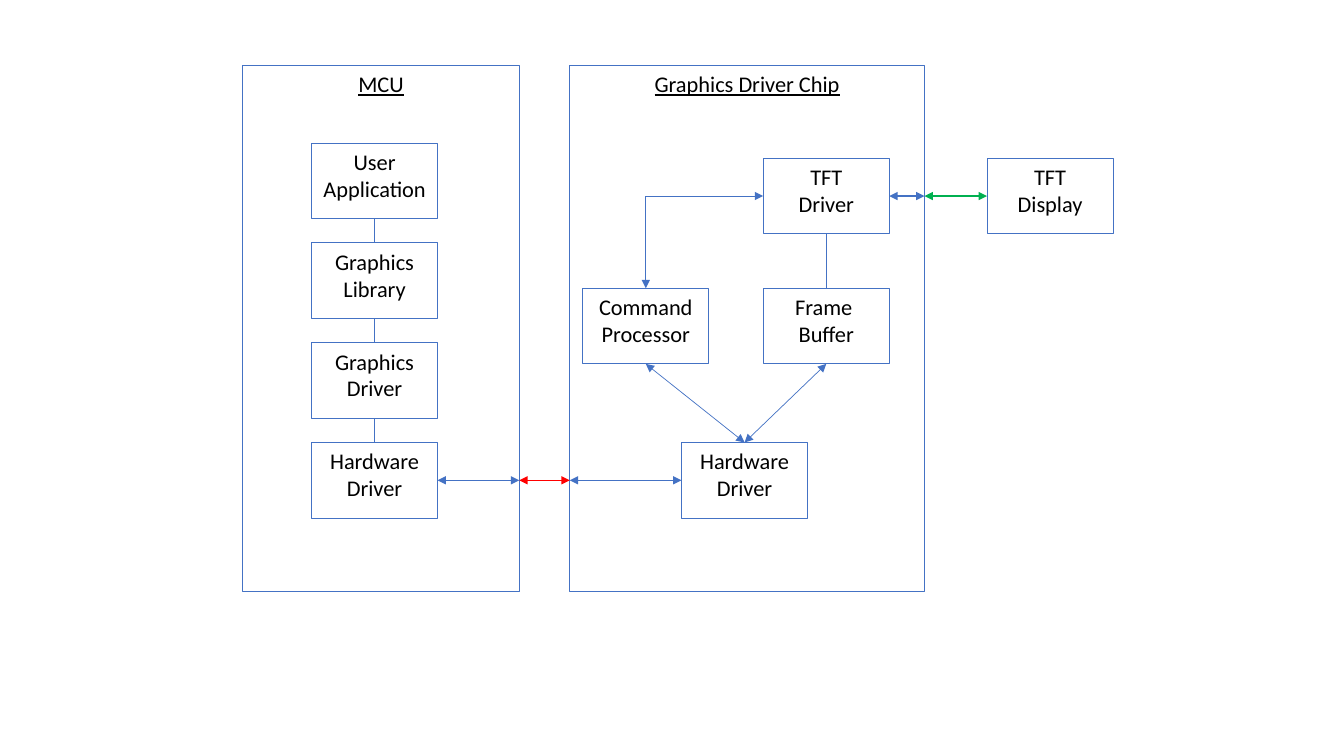
"""Build the block diagram of a host, a graphics driver chip and a TFT display."""
from dataclasses import dataclass

from lxml import etree
from pptx import Presentation
from pptx.dml.color import RGBColor
from pptx.enum.shapes import MSO_CONNECTOR, MSO_SHAPE
from pptx.enum.text import MSO_ANCHOR, PP_ALIGN
from pptx.oxml.ns import qn
from pptx.util import Inches, Pt

RECTANGLE = MSO_SHAPE.RECTANGLE
STRAIGHT, ELBOW = MSO_CONNECTOR.STRAIGHT, MSO_CONNECTOR.ELBOW
TOP, CENTER = MSO_ANCHOR.TOP, PP_ALIGN.CENTER


@dataclass(frozen=True)
class Theme:
    font: str = "Calibri"
    text_size: float = 16
    text: str = "000000"
    blue: str = "4472C4"
    red: str = "FF0000"
    green: str = "00B050"
    outline: float = 0.75
    thin: float = 0.5
    thick: float = 1


THEME = Theme()
BOX_WIDTH, BOX_HEIGHT = 1.25, 0.75
FRAME_TOP, FRAME_HEIGHT = 0.65, 5.22
STACK_LEFT, STACK_TOP, STACK_STEP = 3.09, 1.42, 0.99
DISPLAY_TOP, MIDDLE_TOP = 1.57, 2.86
HARDWARE_TOP = STACK_TOP + 3 * STACK_STEP
BUFFER_LEFT = 7.57

FRAMES = {
    "host": ("MCU", 2.41, 2.74),
    "chip": ("Graphics Driver Chip", 5.65, 3.52),
}
HOST_STACK = {
    "application": ("User", "Application"),
    "library": ("Graphics", "Library"),
    "graphics driver": ("Graphics", "Driver"),
    "host hardware": ("Hardware", "Driver"),
}
BLOCKS = {
    "chip hardware": (("Hardware", "Driver"), 6.76, HARDWARE_TOP),
    "frame buffer": (("Frame ", "Buffer"), BUFFER_LEFT, MIDDLE_TOP),
    "command processor": (("Command", "Processor"), 5.78, MIDDLE_TOP),
    "tft driver": (("TFT", "Driver"), BUFFER_LEFT, DISPLAY_TOP),
    "tft display": (("TFT", "Display"), 9.79, DISPLAY_TOP),
}
SIDES = {"top": (0, 0.5, 0), "left": (1, 0, 0.5), "bottom": (2, 0.5, 1), "right": (3, 1, 0.5)}

PLAIN_LINKS = [
    (("tft driver", "bottom"), ("frame buffer", "top")),
    *[((upper, "bottom"), (lower, "top"))
      for upper, lower in zip(list(HOST_STACK), list(HOST_STACK)[1:])],
]
ARROW_LINKS = [
    (("command processor", "bottom"), ("chip hardware", "top")),
    (("frame buffer", "bottom"), ("chip hardware", "top")),
]
ELBOW_LINK = (("tft driver", "left"), ("command processor", "top"))
BUSES = [
    ("host hardware", [("host hardware", "right"), ("host", "right"),
                       ("chip", "left"), ("chip hardware", "left")],
     [THEME.blue, THEME.red, THEME.blue]),
    ("tft driver", [("tft driver", "right"), ("chip", "right"), ("tft display", "left")],
     [THEME.blue, THEME.green]),
]


def add_box(slide, lines, left, top, width=BOX_WIDTH, height=BOX_HEIGHT, underline=False):
    shape = slide.shapes.add_shape(
        RECTANGLE, Inches(left), Inches(top), Inches(width), Inches(height))
    shape.shadow.inherit = False
    shape.fill.background()
    shape.line.color.rgb = RGBColor.from_string(THEME.blue)
    shape.line.width = Pt(THEME.outline)
    frame = shape.text_frame
    frame.word_wrap = False
    frame.vertical_anchor = TOP
    for index, line in enumerate(lines):
        paragraph = frame.add_paragraph() if index else frame.paragraphs[0]
        paragraph.alignment = CENTER
        run = paragraph.add_run()
        run.text = line
        run.font.name = THEME.font
        run.font.size = Pt(THEME.text_size)
        run.font.color.rgb = RGBColor.from_string(THEME.text)
        run.font.underline = underline
    return shape


def anchor(shape, side):
    _, across, down = SIDES[side]
    return int(shape.left + across * shape.width), int(shape.top + down * shape.height)


def add_line(slide, start, end, color=THEME.blue, width=THEME.thin, arrows=True, kind=STRAIGHT):
    connector = slide.shapes.add_connector(kind, *start, *end)
    connector.line.color.rgb = RGBColor.from_string(color)
    connector.line.width = Pt(width)
    properties = connector._element.spPr
    if arrows:
        outline = properties.find(qn("a:ln"))
        for tag in ("a:headEnd", "a:tailEnd"):
            etree.SubElement(outline, qn(tag), type="triangle")
    if kind == ELBOW:
        properties.find(qn("a:prstGeom")).set("prst", "bentConnector2")
    etree.SubElement(properties, qn("a:effectLst"))
    return connector


def add_link(slide, shapes, link, **style):
    (start, start_side), (end, end_side) = link
    connector = add_line(slide, anchor(shapes[start], start_side),
                         anchor(shapes[end], end_side), **style)
    connector.begin_connect(shapes[start], SIDES[start_side][0])
    connector.end_connect(shapes[end], SIDES[end_side][0])


def add_bus(slide, shapes, level, stops, colors):
    _, height = anchor(shapes[level], "right")
    points = [(anchor(shapes[name], side)[0], height) for name, side in stops]
    for start, end, color in zip(points, points[1:], colors):
        add_line(slide, start, end, color, THEME.thick)


def main():
    presentation = Presentation()
    presentation.slide_width, presentation.slide_height = Inches(13.33), Inches(7.5)
    slide = presentation.slides.add_slide(presentation.slide_layouts[6])
    shapes = {}
    for name, (title, left, width) in FRAMES.items():
        shapes[name] = add_box(slide, [title], left, FRAME_TOP, width, FRAME_HEIGHT, True)
    for row, (name, lines) in enumerate(HOST_STACK.items()):
        shapes[name] = add_box(slide, lines, STACK_LEFT, STACK_TOP + row * STACK_STEP)
    for name, (lines, left, top) in BLOCKS.items():
        shapes[name] = add_box(slide, lines, left, top)
    for link in PLAIN_LINKS:
        add_link(slide, shapes, link, arrows=False)
    for link in ARROW_LINKS:
        add_link(slide, shapes, link)
    add_link(slide, shapes, ELBOW_LINK, kind=ELBOW)
    for level, stops, colors in BUSES:
        add_bus(slide, shapes, level, stops, colors)
    presentation.save("out.pptx")


main()
